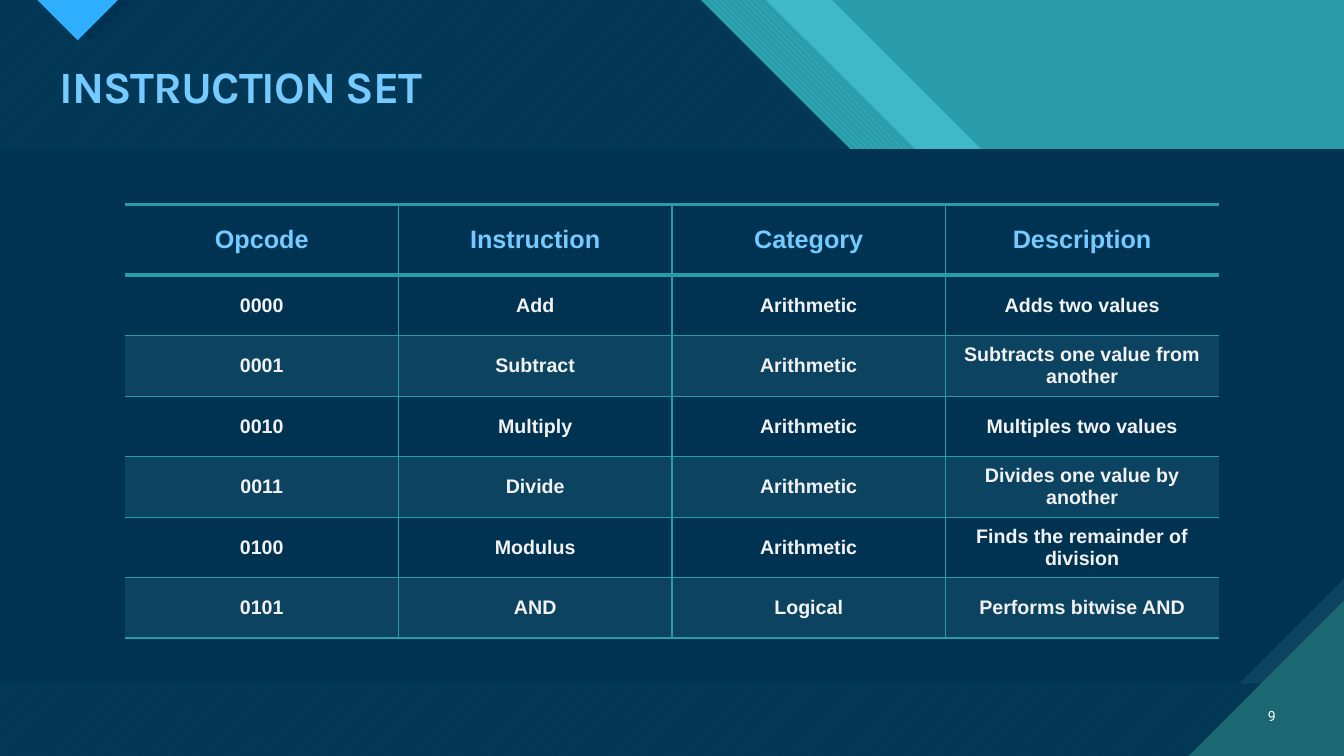
from lxml import etree
from pptx import Presentation
from pptx.dml.color import RGBColor
from pptx.enum.dml import MSO_PATTERN
from pptx.enum.shapes import MSO_SHAPE
from pptx.enum.text import MSO_ANCHOR, PP_ALIGN
from pptx.oxml.ns import qn
from pptx.util import Inches, Pt

LEFT, CENTER, RIGHT = PP_ALIGN.LEFT, PP_ALIGN.CENTER, PP_ALIGN.RIGHT
MIDDLE = MSO_ANCHOR.MIDDLE
DOWN_STRIPES = MSO_PATTERN.WIDE_DOWNWARD_DIAGONAL
UP_STRIPES = MSO_PATTERN.WIDE_UPWARD_DIAGONAL
RECTANGLE = MSO_SHAPE.RECTANGLE


class Theme:
    navy, steel, teal = "003352", "0C4360", "299CAB"
    aqua, pine, azure = "47C3D3", "1B6872", "2FAFFF"
    sky, pale, white = "75CAFF", "F2F2F2", "FFFFFF"
    title_size, head_size, body_size, number_size = 32, 18, 14, 10
    title_font, table_font, number_font = "Karla", "Arial", "Roboto"


WIDTH, HEIGHT = 13.33, 7.5
PANEL_TOP, PANEL_BOTTOM, SNIP = 1.48, 6.78, 1.04

deck = Presentation()
deck.slide_width, deck.slide_height = Inches(WIDTH), Inches(HEIGHT)
page = deck.slides.add_slide(deck.slide_layouts[5])
page.background.fill.solid()
page.background.fill.fore_color.rgb = RGBColor.from_string(Theme.aqua)


def add_polygon(points, color, opacity=100, pattern=None, back=None):
    # Freeform points are whole numbers, so draw in hundredths of an inch
    grid = [(round(x * 100), round(y * 100)) for x, y in points]
    builder = page.shapes.build_freeform(*grid[0], scale=Inches(0.01))
    builder.add_line_segments(grid[1:], close=True)
    shape = builder.convert_to_shape()
    shape.shadow.inherit = False
    shape.line.fill.background()
    if pattern:
        shape.fill.patterned()
        shape.fill.pattern = pattern
        shape.fill.back_color.rgb = RGBColor.from_string(back)
    else:
        shape.fill.solid()
    shape.fill.fore_color.rgb = RGBColor.from_string(color)
    if opacity < 100:
        tint = shape._element.spPr.find(".//" + qn("a:srgbClr"))
        etree.SubElement(tint, qn("a:alpha"), val=str(opacity * 1000))


def add_span(para, text, font, size, color, bold=False):
    span = para.add_run()
    span.text = text
    span.font.name, span.font.size, span.font.bold = font, Pt(size), bold
    span.font.color.rgb = RGBColor.from_string(color)
    return span


# Teal backdrop
backdrop = page.shapes.add_shape(RECTANGLE, 0, 0, deck.slide_width, deck.slide_height)
backdrop.shadow.inherit = False
backdrop.line.fill.background()
backdrop.fill.solid()
backdrop.fill.fore_color.rgb = RGBColor.from_string(Theme.teal)

# Diagonal bands, each with a 45-degree edge further to the left
for edge, color, opacity, pattern, back in (
    (8.25, Theme.aqua, 74, None, None),
    (7.6, Theme.aqua, 100, DOWN_STRIPES, Theme.teal),
    (6.95, Theme.aqua, 100, UP_STRIPES, Theme.pine),
    (6.95, Theme.navy, 90, None, None),
):
    step, ledge = 2.97, edge + 4.23
    outline = [(0, 0), (edge, 0), (edge + step, step), (ledge, step),
               (WIDTH, step + WIDTH - ledge), (WIDTH, HEIGHT), (0, HEIGHT)]
    add_polygon(outline, color, opacity, pattern, back)

# Marker at the top left with its dark twin behind
add_polygon([(0.48, 0), (1.31, 0), (0.9, 0.41)], Theme.navy)
add_polygon([(0.37, 0), (1.17, 0), (0.77, 0.4)], Theme.azure)

# Content panel with a cut corner
for color, cut in ((Theme.steel, 0), (Theme.navy, SNIP)):
    add_polygon([(0, PANEL_TOP), (WIDTH, PANEL_TOP), (WIDTH, PANEL_BOTTOM - cut),
                 (WIDTH - cut, PANEL_BOTTOM), (0, PANEL_BOTTOM)], color)

# Corner behind the page number
add_polygon([(WIDTH - 1.54, HEIGHT), (WIDTH, HEIGHT), (WIDTH, HEIGHT - 1.54)], Theme.pine)

# Title, brought in front of the bands
title = page.shapes.title
title._element.getparent().append(title._element)
title.left, title.top = Inches(0.49), Inches(0.59)
title.width, title.height = Inches(12.26), Inches(0.59)
title.text_frame.vertical_anchor = MIDDLE
title.text_frame.word_wrap = True
para = title.text_frame.paragraphs[0]
para.alignment = LEFT
para.line_spacing = 0.9
span = add_span(para, "INSTRUCTION SET", Theme.title_font, Theme.title_size, Theme.sky, True)
span.font._element.set("spc", "-70")

# Instruction table
rows = [
    ("Opcode", "Instruction", "Category", "Description"),
    ("0000", "Add", "Arithmetic", "Adds two values"),
    ("0001", "Subtract", "Arithmetic", "Subtracts one value from another"),
    ("0010", "Multiply", "Arithmetic", "Multiples two values"),
    ("0011", "Divide", "Arithmetic", "Divides one value by another"),
    ("0100", "Modulus", "Arithmetic", "Finds the remainder of division"),
    ("0101", "AND", "Logical", "Performs bitwise AND"),
]
last = len(rows[0]) - 1
frame = page.shapes.add_table(len(rows), len(rows[0]), Inches(1.24), Inches(2.03),
                              Inches(10.85), Inches(4.3))
table = frame.table
table._tbl.tblPr.find(qn("a:tableStyleId")).text = "{2D5ABB26-0587-4C30-8999-92F81FD0307C}"
table.horz_banding = False
for r, texts in enumerate(rows):
    table.rows[r].height = Inches(0.6 if r else 0.7)
    for c, text in enumerate(texts):
        cell = table.cell(r, c)
        cell.vertical_anchor = MIDDLE
        para = cell.text_frame.paragraphs[0]
        para.alignment = CENTER
        size, color = (Theme.body_size, Theme.pale) if r else (Theme.head_size, Theme.sky)
        add_span(para, text, Theme.table_font, size, color, True)

        # Borders: open sides, heavy lines around the header
        weights = {"L": int(c > 0), "R": int(c < last),
                   "T": 3 if r < 2 else 1, "B": 1 if r else 3}
        for side, weight in weights.items():
            line = etree.SubElement(cell._tc.get_or_add_tcPr(), qn("a:ln" + side),
                                    w=str(Pt(weight)))
            if weight:
                paint = etree.SubElement(line, qn("a:solidFill"))
                etree.SubElement(paint, qn("a:srgbClr"), val=Theme.teal)
            else:
                etree.SubElement(line, qn("a:noFill"))

        # Every second body row is tinted
        if r and r % 2 == 0:
            cell.fill.solid()
            cell.fill.fore_color.rgb = RGBColor.from_string(Theme.steel)
        else:
            cell.fill.background()

# Page number
box = page.shapes.add_textbox(Inches(12.31), Inches(6.9), Inches(0.44), Inches(0.4))
box.text_frame.word_wrap = True
box.text_frame.vertical_anchor = MIDDLE
para = box.text_frame.paragraphs[0]
para.alignment = RIGHT
add_span(para, "9", Theme.number_font, Theme.number_size, Theme.white)

deck.save("out.pptx")
